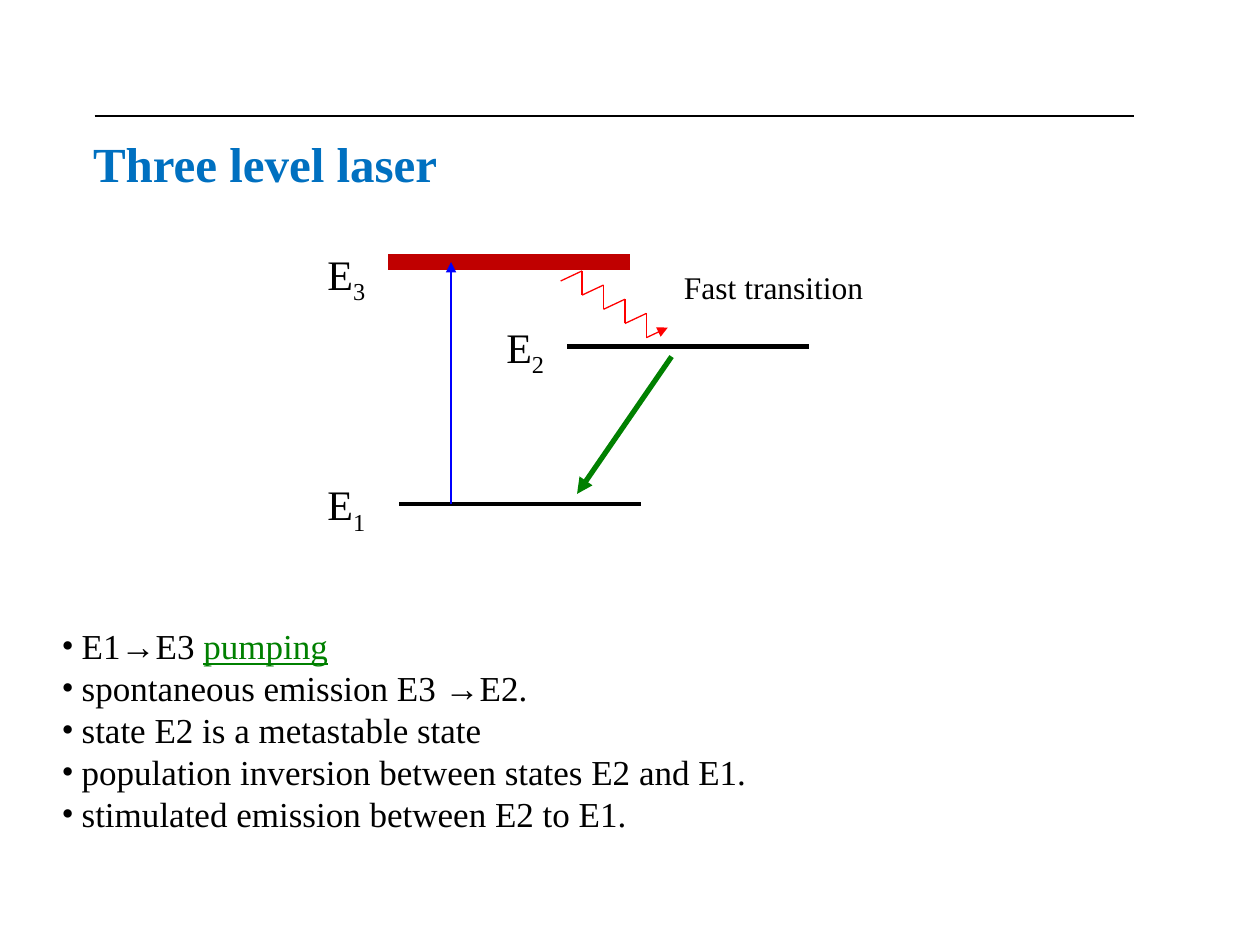
from itertools import pairwise

from lxml.etree import SubElement
from pptx import Presentation
from pptx.dml.color import RGBColor
from pptx.enum.shapes import MSO_CONNECTOR as Connector
from pptx.enum.text import MSO_AUTO_SIZE as AutoSize
from pptx.oxml.ns import qn
from pptx.util import Inches, Pt

BLACK = RGBColor(0x00, 0x00, 0x00)
TITLE_BLUE = RGBColor(0x00, 0x70, 0xC0)
PUMP_BLUE = RGBColor(0x00, 0x00, 0xFF)
BAND_RED = RGBColor(0xC0, 0x00, 0x00)
DECAY_RED = RGBColor(0xFF, 0x00, 0x00)
GREEN = RGBColor(0x00, 0x80, 0x00)

FONT = "Times New Roman"
WIDTH, HEIGHT = 10, 7.5
LEVEL_LENGTH = 1.92
BULLET_INDENT = 0.16

# Name, left end, height on the page, line width, colour, label position
LEVELS = [
    ("1", 3.17, 4.00, 2, BLACK, (2.50, 3.75)),
    ("3", 3.08, 2.08, 9.5, BAND_RED, (2.50, 1.92)),
    ("2", 4.50, 2.75, 3, BLACK, (3.92, 2.50)),
]

# Each bullet is a list of spans: text and format
BULLETS = [
    [("E1→E3 ", {}), ("pumping", {"underline": True, "color": GREEN})],
    [("spontaneous emission E3 →E2.", {})],
    [("state E2 is a metastable state", {})],
    [("population inversion between states E2 and E1.", {})],
    [("stimulated emission between E2 to E1.", {})],
]


def add_line(page, start, end, color, width, arrow=False):
    ends = [Inches(value) for value in (*start, *end)]
    line = page.shapes.add_connector(Connector.STRAIGHT, *ends)
    line.line.color.rgb = color
    line.line.width = Pt(width)
    if arrow:
        SubElement(line.line._get_or_add_ln(), qn("a:tailEnd"), type="triangle")
    SubElement(line._element.spPr, qn("a:effectLst"))


def add_box(page, left, top, width, height, wrap=True):
    lengths = [Inches(value) for value in (left, top, width, height)]
    frame = page.shapes.add_textbox(*lengths).text_frame
    frame.word_wrap = wrap
    frame.auto_size = AutoSize.SHAPE_TO_FIT_TEXT
    return frame


def add_span(para, text, size, color=BLACK, **formats):
    span = para.add_run()
    span.text = text
    span.font.color.rgb = color
    for name, value in {"name": FONT, "size": Pt(size), **formats}.items():
        setattr(span.font, name, value)
    return span


def add_level(page, number, left, y, width, color, label_at):
    add_line(page, (left, y), (left + LEVEL_LENGTH, y), color, width)
    para = add_box(page, *label_at, 0.52, 0.5, wrap=False).paragraphs[0]
    add_span(para, "E", 24)
    subscript = add_span(para, number, 24)
    subscript.font._element.set("baseline", "-25000")


def add_zigzag(page, left, top, teeth):
    points = []
    for tooth in range(teeth):
        x, y = left + 0.17 * tooth, top + 0.1125 * tooth
        points += [(x, y), (x + 0.17, y - 0.08)]
    segments = list(pairwise(points))
    for index, (start, end) in enumerate(segments, 1):
        add_line(page, start, end, DECAY_RED, 0.75, arrow=index == len(segments))


def add_bullets(page):
    frame = add_box(page, 0.39, 4.91, 8.83, 2.1)
    for index, spans in enumerate(BULLETS):
        para = frame.add_paragraph() if index else frame.paragraphs[0]
        para.line_spacing = Pt(24)
        properties = para._p.get_or_add_pPr()
        properties.set("marL", str(Inches(BULLET_INDENT)))
        properties.set("indent", str(-Inches(BULLET_INDENT)))
        SubElement(properties, qn("a:buFont"), typeface=FONT)
        SubElement(properties, qn("a:buChar"), char="•")
        for text, formats in spans:
            add_span(para, text, 20, **formats)


def main():
    deck = Presentation()
    deck.slide_width, deck.slide_height = Inches(WIDTH), Inches(HEIGHT)
    page = deck.slides.add_slide(deck.slide_layouts[6])

    # Rule and title
    add_line(page, (0.75, 0.92), (9, 0.92), BLACK, 0.75)
    title = add_box(page, 0.64, 1.01, 4.17, 0.57).paragraphs[0]
    add_span(title, "Three level laser", 28, TITLE_BLUE, bold=True)

    # Energy levels and the transitions between them
    for level in LEVELS:
        add_level(page, *level)
    add_line(page, (3.58, 4), (3.58, 2.08), PUMP_BLUE, 0.75, arrow=True)
    add_line(page, (5.33, 2.83), (4.58, 3.92), GREEN, 3, arrow=True)
    add_zigzag(page, 4.45, 2.23, teeth=5)
    note = add_box(page, 5.33, 2.08, 1.62, 0.4, wrap=False).paragraphs[0]
    add_span(note, "Fast transition", 18)

    # Explanation
    add_bullets(page)
    deck.save("out.pptx")


if __name__ == "__main__":
    main()
